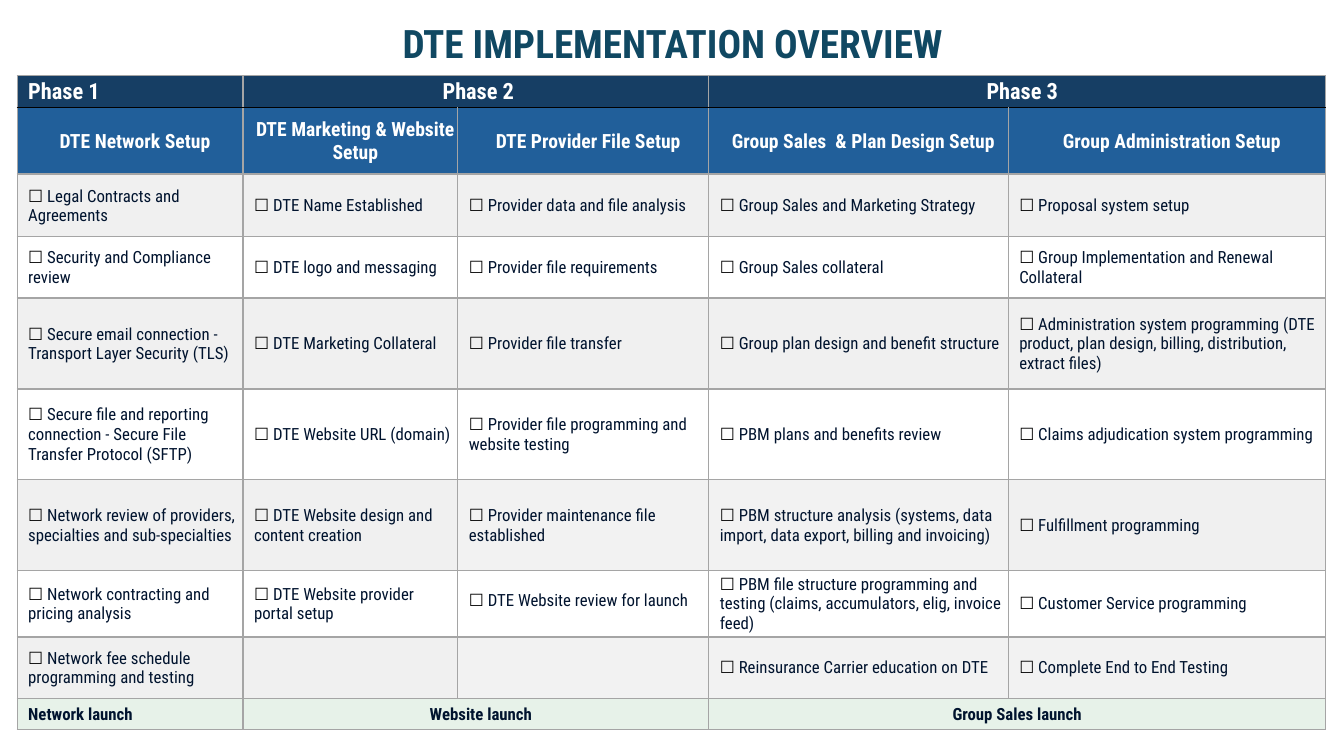
from lxml import etree
from pptx import Presentation
from pptx.dml.color import RGBColor
from pptx.enum.text import MSO_ANCHOR, PP_ALIGN
from pptx.oxml.ns import qn
from pptx.util import Pt

PX = 9144
FONT = "Roboto Condensed"
LEFT, CENTER = PP_ALIGN.LEFT, PP_ALIGN.CENTER
MIDDLE = MSO_ANCHOR.MIDDLE

TEAL = RGBColor(0x10, 0x48, 0x62)
NAVY = RGBColor(0x16, 0x3E, 0x64)
BLUE = RGBColor(0x21, 0x5F, 0x9A)
INK = RGBColor(0x00, 0x13, 0x2E)
BLACK = RGBColor(0, 0, 0)
WHITE = RGBColor(0xFF, 0xFF, 0xFF)
GRAY = RGBColor(0xF0, 0xF0, 0xF0)
PALE = RGBColor(0xF2, 0xF2, 0xF2)
MINT = RGBColor(0xE7, 0xF2, 0xE9)
RULE = RGBColor(0xA5, 0xA5, 0xA5)

COLS = [224, 213, 249, 297, 315]
ROWS = [32, 66, 62, 61, 90, 90, 90, 66, 61, 31]
SPANS = [(0, 0), (1, 2), (3, 4)]
PHASES = ["Phase 1", "Phase 2 ", "Phase 3"]
HEADS = [
    "DTE Network Setup",
    "DTE Marketing & Website Setup",
    "DTE Provider File Setup",
    "Group Sales  & Plan Design Setup",
    "Group Administration Setup",
]
TASKS = [
    ["Legal Contracts and Agreements", "DTE Name Established",
     "Provider data and file analysis", "Group Sales and Marketing Strategy",
     "Proposal system setup"],
    ["Security and Compliance review", "DTE logo and messaging",
     "Provider file requirements", "Group Sales collateral",
     "Group Implementation and Renewal Collateral"],
    ["Secure email connection - Transport Layer Security (TLS)",
     "DTE Marketing Collateral", "Provider file transfer",
     "Group plan design and benefit structure",
     "Administration system programming (DTE product, plan design, billing, "
     "distribution, extract files)"],
    ["Secure file and reporting connection - Secure File Transfer Protocol (SFTP)",
     "DTE Website URL (domain)", "Provider file programming and website testing",
     "PBM plans and benefits review", "Claims adjudication system programming"],
    ["Network review of providers, specialties and sub-specialties",
     "DTE Website design and content creation",
     "Provider maintenance file established",
     "PBM structure analysis (systems, data import, data export, billing and invoicing)",
     "Fulfillment programming"],
    ["Network contracting and pricing analysis",
     "DTE Website provider portal setup", "DTE Website review for launch",
     "PBM file structure programming and testing (claims, accumulators, elig, "
     "invoice feed)",
     "Customer Service programming"],
    ["Network fee schedule programming and testing", "", "",
     "Reinsurance Carrier education on DTE", "Complete End to End Testing"],
]
GOALS = ["Network launch", "Website launch", "Group Sales launch"]
PALE_AT = {(6, 2), (6, 3), (8, 2), (8, 3), (8, 4)}
THICK = {1, 3, 8}
RAISED = (7, 2)


def style(para, size, bold, color, align):
    para.alignment = align
    font = para.font
    font.name, font.size, font.bold = FONT, Pt(size), bold
    if color is not None:
        font.color.rgb = color


def add_title(slide, text):
    box = slide.shapes.add_textbox(92 * PX, 18 * PX, 1150 * PX, 54 * PX)
    frame = box.text_frame
    frame.word_wrap = True
    frame.vertical_anchor = MIDDLE
    para = frame.paragraphs[0]
    para.text = text
    para.line_spacing = 0.9
    style(para, 28, True, TEAL, CENTER)


def add_edge(cell, side, color, width):
    line = etree.SubElement(cell._tc.get_or_add_tcPr(), qn("a:ln" + side), w=str(Pt(width)))
    fill = etree.SubElement(line, qn("a:solidFill"))
    etree.SubElement(fill, qn("a:srgbClr"), val=str(color))


def row_rule(row):
    return BLACK if row == 0 else RULE, 1.5 if row in THICK else 1


def frame_cell(cell, row, fill):
    add_edge(cell, "L", RULE, 1)
    add_edge(cell, "R", RULE, 1)
    add_edge(cell, "T", *row_rule(row - 1))
    add_edge(cell, "B", *row_rule(row))
    cell.fill.solid()
    cell.fill.fore_color.rgb = fill
    cell.vertical_anchor = MIDDLE
    cell.margin_left, cell.margin_right = 11 * PX, PX
    cell.margin_top, cell.margin_bottom = PX, 0


def put_label(cell, text, size, color, align):
    para = cell.text_frame.paragraphs[0]
    para.text = text
    style(para, size, True, color, align)


def put_task(cell, text):
    para = cell.text_frame.paragraphs[0]
    if text:
        for part, color in (("☐ ", BLACK), (text, INK)):
            run = para.add_run()
            run.text = part
            run.font.color.rgb = color
    style(para, 12, False, None, LEFT)


def fill_color(row, col):
    if row < 2:
        return (NAVY, BLUE)[row]
    if row == len(ROWS) - 1:
        return MINT
    if (row, col) in PALE_AT:
        return PALE
    return WHITE if row % 2 else GRAY


def put_spans(table, row, texts, size, color):
    for (first, last), text in zip(SPANS, texts):
        cell = table.cell(row, first)
        if last > first:
            cell.merge(table.cell(row, last))
        put_label(cell, text, size, color, CENTER if first else LEFT)


def add_plan(slide):
    shape = slide.shapes.add_table(
        len(ROWS), len(COLS), 17 * PX, 75 * PX, sum(COLS) * PX, sum(ROWS) * PX)
    table = shape.table
    table.first_row = table.horz_banding = False
    for col, width in zip(table.columns, COLS):
        col.width = width * PX
    for row, height in zip(table.rows, ROWS):
        row.height = height * PX
    for row in range(len(ROWS)):
        for col in range(len(COLS)):
            frame_cell(table.cell(row, col), row, fill_color(row, col))
    goal = len(ROWS) - 1
    put_spans(table, 0, PHASES, 16, WHITE)
    put_spans(table, goal, GOALS, 12, INK)
    table.cell(goal, 3).margin_left = PX
    for col, text in enumerate(HEADS):
        put_label(table.cell(1, col), text, 14, WHITE, CENTER)
    for row, tasks in enumerate(TASKS, 2):
        for col, text in enumerate(tasks):
            put_task(table.cell(row, col), text)
    table.cell(*RAISED).margin_bottom = 6 * PX


def main():
    deck = Presentation()
    deck.slide_width, deck.slide_height = 1333 * PX, 750 * PX
    slide = deck.slides.add_slide(deck.slide_layouts[6])
    add_title(slide, "DTE IMPLEMENTATION OVERVIEW")
    add_plan(slide)
    deck.save("out.pptx")


if __name__ == "__main__":
    main()
